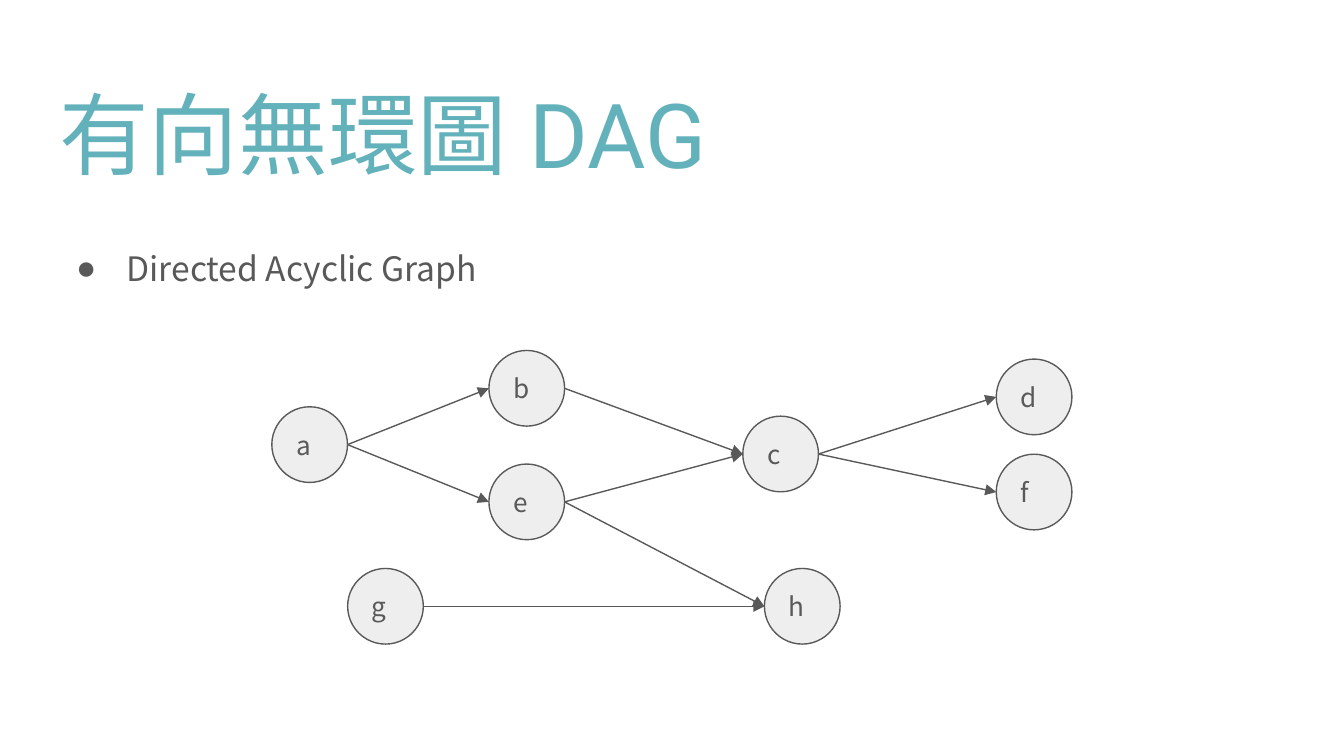
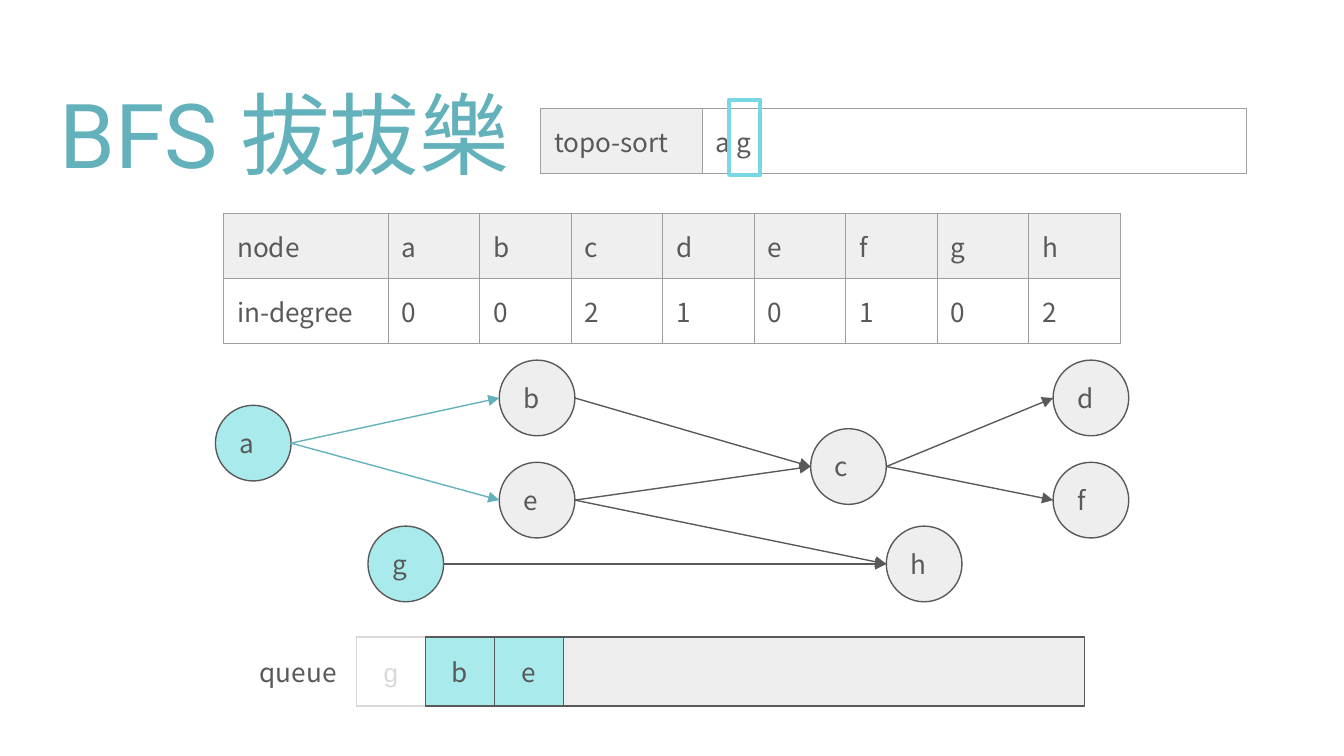
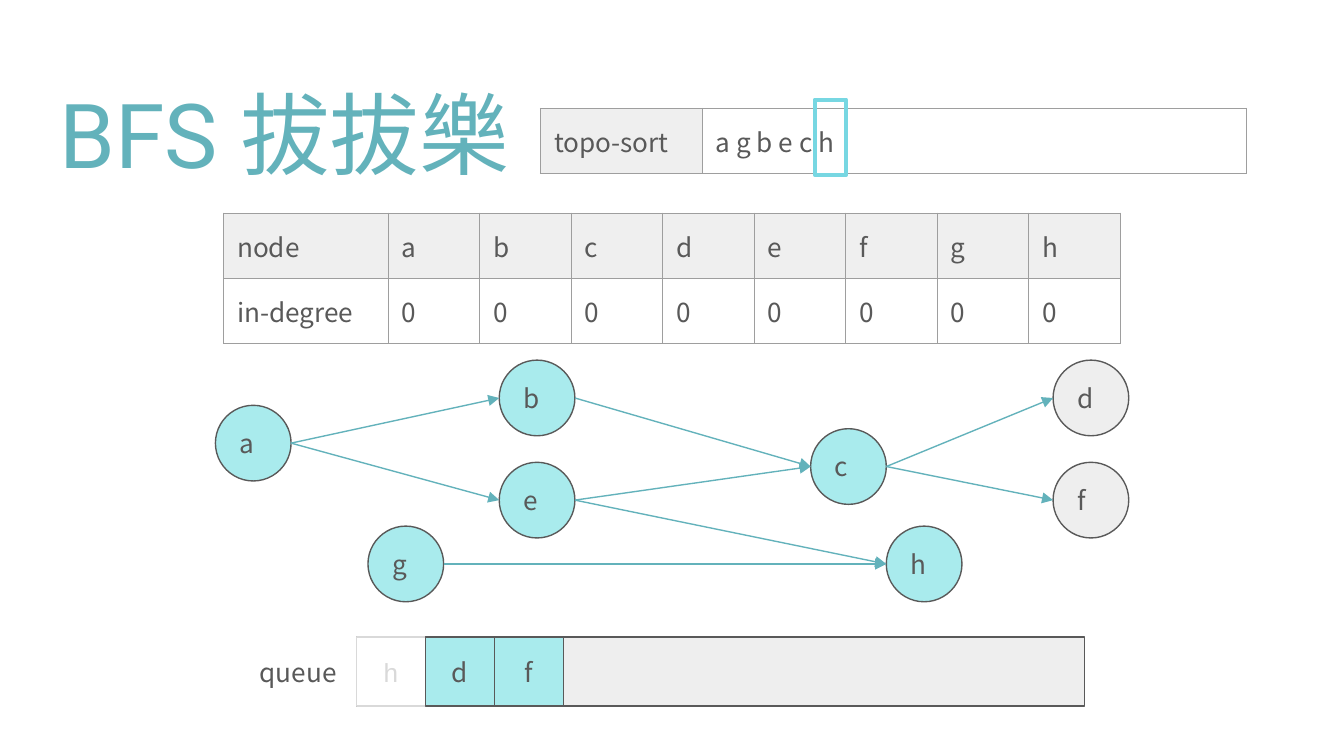
import pptx
import pptx.dml.color
import pptx.enum.shapes
import pptx.enum.text
import pptx.oxml
import pptx.oxml.ns
import pptx.util
from lxml import etree

COLORS = {
    "title": "63B2BB", "text": "595959", "node": "EEEEEE", "visited": "A9EBED",
    "header": "EFEFEF", "border": "9E9E9E", "marker": "77D7E2",
    "faded": "D9D9D9", "white": "FFFFFF",
}
TITLE_FONT, BODY_FONT, PLAIN_FONT = "Roboto", "Noto Sans CJK TC", "Arial"
WIDTH = pptx.util.Inches(10)
HEIGHT = WIDTH * 9 // 16
COLUMN = WIDTH / 100
NODE_SIZE = 5.63
SLOT = 5.14
ELLIPSE_LEFT, ELLIPSE_RIGHT = 2, 6

EDGES = ["ab", "ae", "ec", "gh", "eh", "bc", "cf", "cd"]
INTRO_NODES = {
    "a": (20.23, 30.27), "e": (36.38, 34.53), "b": (36.38, 26.08), "h": (56.88, 42.3),
    "g": (25.87, 42.3), "c": (55.27, 30.97), "f": (74.13, 33.8), "d": (74.13, 26.72),
}
BFS_NODES = {
    "a": (16.03, 30.16), "e": (37.15, 34.4), "b": (37.15, 26.8), "h": (65.95, 39.15),
    "g": (27.38, 39.15), "c": (60.32, 31.9), "f": (78.36, 34.4), "d": (78.36, 26.8),
}


def grid(*lengths):
    """Turn lengths in grid columns, a hundred to the slide's width, into EMU."""
    return [round(length * COLUMN) for length in lengths]


def rgb(name):
    """Look up a colour by name."""
    return pptx.dml.color.RGBColor.from_string(COLORS[name])


def add_child(parent, tag, **attributes):
    """Append a drawing element with attributes."""
    return etree.SubElement(parent, pptx.oxml.ns.qn(tag), attributes)


def write(frame, text, size=14, font=BODY_FONT, color="text", align="LEFT", anchor="TOP"):
    """Write one run into a text frame and return its paragraph."""
    frame.word_wrap = True
    frame.auto_size = pptx.enum.text.MSO_AUTO_SIZE.NONE
    frame.vertical_anchor = pptx.enum.text.MSO_ANCHOR[anchor]
    frame.margin_left, frame.margin_top, frame.margin_right, frame.margin_bottom = grid(1, 1, 1, 1)
    paragraph = frame.paragraphs[0]
    write_run(paragraph, text, size, font, color)
    paragraph.alignment = pptx.enum.text.PP_ALIGN[align]
    paragraph.space_before = pptx.util.Pt(0)
    return paragraph


def write_run(paragraph, text, size, font, color):
    """Add a run in one font for every script."""
    run = paragraph.add_run()
    run.text = text
    run.font.size = pptx.util.Pt(size)
    run.font.name = font
    run.font.color.rgb = rgb(color)
    for tag in ("a:ea", "a:cs"):
        add_child(run.font._element, tag, typeface=font)


def place(shape, left, top, width, height):
    """Move and size a shape on the grid."""
    shape.left, shape.top, shape.width, shape.height = grid(left, top, width, height)


def add_titled_slide(presentation, title, layout):
    """Add a slide and format its title placeholder."""
    slide = presentation.slides.add_slide(presentation.slide_layouts[layout])
    place(slide.shapes.title, 3.41, 4.87, 93.18, 9.9)
    write(slide.shapes.title.text_frame, title, 48, TITLE_FONT, "title")
    return slide


def fill_bullet(placeholder, text):
    """Format the body placeholder as a bulleted line."""
    place(placeholder, 3.41, 15.92, 93.18, 34)
    paragraph = write(placeholder.text_frame, text, 18)
    paragraph.line_spacing = 1.5
    indent, hanging = grid(5, -3.75)
    properties = paragraph._p.get_or_add_pPr()
    properties.set("marL", str(indent))
    properties.set("indent", str(hanging))
    add_child(add_child(properties, "a:buClr"), "a:srgbClr", val=COLORS["text"])
    add_child(properties, "a:buFont", typeface=PLAIN_FONT)
    add_child(properties, "a:buChar", char="●")


def add_box(slide, kind, box, fill=None, line="text", weight=0.75):
    """Add a preset shape with a flat fill and outline."""
    shape = slide.shapes.add_shape(pptx.enum.shapes.MSO_SHAPE[kind], *grid(*box))
    shape.shadow.inherit = False
    if fill:
        shape.fill.solid()
        shape.fill.fore_color.rgb = rgb(fill)
    else:
        shape.fill.background()
    shape.line.color.rgb = rgb(line)
    shape.line.width = pptx.util.Pt(weight)
    return shape


def add_edge(slide, start, end, color):
    """Join the right of one node to the left of another with an arrow."""
    connector = slide.shapes.add_connector(
        pptx.enum.shapes.MSO_CONNECTOR.STRAIGHT,
        start.left + start.width, start.top + start.height // 2,
        end.left, end.top + end.height // 2)
    joints = connector._element.nvCxnSpPr.cNvCxnSpPr
    add_child(joints, "a:stCxn", id=str(start.shape_id), idx=str(ELLIPSE_RIGHT))
    add_child(joints, "a:endCxn", id=str(end.shape_id), idx=str(ELLIPSE_LEFT))
    connector.line.color.rgb = rgb(color)
    connector.line.width = pptx.util.Pt(0.75)
    add_child(connector.line._get_or_add_ln(), "a:tailEnd", type="triangle")
    add_child(connector._element.spPr, "a:effectLst")


def add_graph(slide, positions, visited="", active=""):
    """Draw the graph, colouring visited nodes and the edges leaving active ones."""
    nodes = {}
    for name, (left, top) in positions.items():
        fill = "visited" if name in visited else "node"
        nodes[name] = add_box(slide, "OVAL", (left, top, NODE_SIZE, NODE_SIZE), fill)
        write(nodes[name].text_frame, name, anchor="MIDDLE")
    for start, end in EDGES:
        add_edge(slide, nodes[start], nodes[end], "title" if start in active else "text")


def style_cell(cell, text, header):
    """Give a cell its text, four borders and fill."""
    cell.margin_left, cell.margin_top, cell.margin_right, cell.margin_bottom = grid(1, 1, 1, 1)
    write_run(cell.text_frame.paragraphs[0], text, 14, BODY_FONT, "text")
    properties = cell._tc.get_or_add_tcPr()
    for side in ("a:lnL", "a:lnR", "a:lnT", "a:lnB"):
        border = add_child(properties, side, w=str(pptx.util.Pt(0.75)))
        add_child(add_child(border, "a:solidFill"), "a:srgbClr", val=COLORS["border"])
    if header:
        cell.fill.solid()
        cell.fill.fore_color.rgb = rgb("header")
    else:
        cell.fill.background()


def add_grid_table(slide, left, top, widths, rows, is_header):
    """Add a bordered table whose header cells satisfy is_header(row, column)."""
    row_height = 4.85
    box = grid(left, top, sum(widths), row_height * len(rows))
    table = slide.shapes.add_table(len(rows), len(widths), *box).table
    table.first_row = table.horz_banding = False
    for column, width in zip(table.columns, grid(*widths)):
        column.width = width
    for row_index, row in enumerate(rows):
        for column_index, text in enumerate(row):
            style_cell(table.cell(row_index, column_index), text,
                       is_header(row_index, column_index))


def add_queue(slide, removed, waiting):
    """Draw the queue: a faded slot for the removed node, then the waiting ones."""
    left, top = 26.52, 47.4
    add_box(slide, "RECTANGLE", (left, top, 54.17, SLOT), "node")
    label = slide.shapes.add_textbox(*grid(18.33, 47.85, 8.6, 4.2))
    write(label.text_frame, "queue")
    for index, name in enumerate(removed + waiting):
        fill, line, color, font = (("visited", "text", "text", BODY_FONT) if index
                                   else ("white", "faded", "faded", PLAIN_FONT))
        slot = add_box(slide, "RECTANGLE", (left + index * SLOT, top, SLOT, SLOT), fill, line)
        write(slot.text_frame, name, font=font, color=color, align="CENTER", anchor="MIDDLE")


def add_bfs_slide(presentation, order, degrees, visited, active, marker_left, waiting):
    """Add one step of the breadth-first topological sort."""
    slide = add_titled_slide(presentation, "BFS 拔拔樂", 5)
    add_graph(slide, BFS_NODES, visited, active)
    add_grid_table(slide, 16.64, 15.87, [12.25] + [6.81] * 8,
                   [["node", *"abcdefgh"], ["in-degree", *degrees]],
                   lambda row, column: row == 0)
    add_grid_table(slide, 40.22, 8.07, [12.02, 40.53], [["topo-sort", " ".join(order)]],
                   lambda row, column: column == 0)
    add_box(slide, "RECTANGLE", (marker_left, 7.42, 2.33, 5.6), line="marker", weight=2.25)
    add_queue(slide, order[-1], waiting)


def main():
    """Build the three slides and save them."""
    presentation = pptx.Presentation()
    presentation.slide_width, presentation.slide_height = WIDTH, HEIGHT
    intro = add_titled_slide(presentation, "有向無環圖 DAG", 1)
    fill_bullet(intro.placeholders[1], "Directed Acyclic Graph")
    add_graph(intro, INTRO_NODES)
    add_bfs_slide(presentation, "ag", "00210102", "ag", "a", 54.25, "be")
    add_bfs_slide(presentation, "agbech", "00000000", "agbech", "agbech", 60.63, "df")
    presentation.save("out.pptx")


if __name__ == "__main__":
    main()
